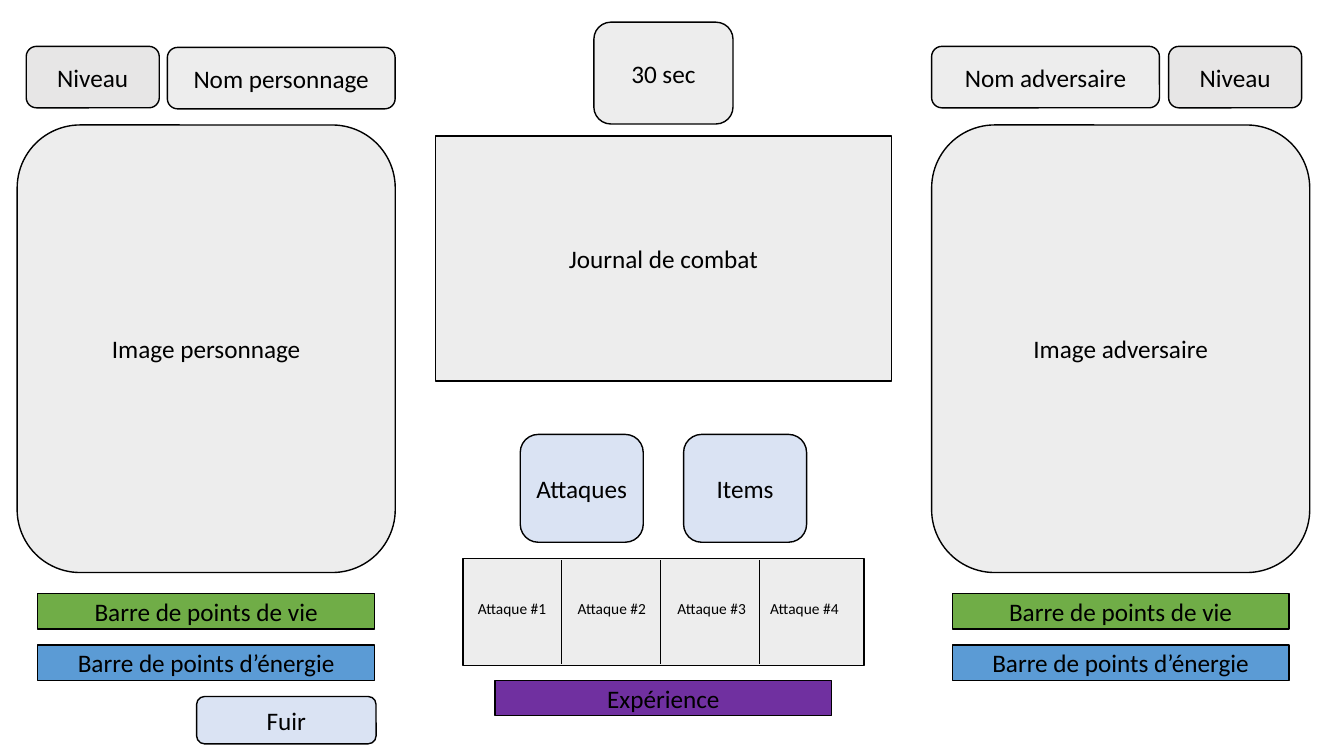
"""Build the combat screen wireframe slide."""
from dataclasses import dataclass

from lxml import etree
from pptx import Presentation
from pptx.dml.color import RGBColor
from pptx.enum.shapes import MSO_CONNECTOR, MSO_SHAPE
from pptx.enum.text import MSO_ANCHOR, PP_ALIGN
from pptx.oxml.ns import qn
from pptx.util import Inches, Pt

RECT, ROUND = MSO_SHAPE.RECTANGLE, MSO_SHAPE.ROUNDED_RECTANGLE
STRAIGHT = MSO_CONNECTOR.STRAIGHT
MIDDLE, TOP = MSO_ANCHOR.MIDDLE, MSO_ANCHOR.TOP
CENTER, LEFT = PP_ALIGN.CENTER, PP_ALIGN.LEFT


@dataclass(frozen=True)
class Theme:
    """Colours, font and sizes of the slide."""
    ink: str = "000000"
    panel: str = "EDEDED"
    level: str = "E7E6E6"
    button: str = "DAE3F3"
    life: str = "70AD47"
    energy: str = "5B9BD5"
    experience: str = "7030A0"
    font: str = "Calibri"
    body: float = 18
    small: float = 11
    outline: float = 1
    divider: float = 0.5


THEME = Theme()
BAR_W, BAR_H = 3.34, 0.35


def rgb(value):
    """Return the colour for a hex string."""
    return RGBColor.from_string(value)


def inches(*values):
    """Return the values as lengths."""
    return [Inches(v) for v in values]


def set_line(line, width):
    """Give a line the ink colour and a width."""
    line.color.rgb = rgb(THEME.ink)
    line.width = Pt(width)


def write(sp, text, size, align, anchor, wrap):
    """Put one styled paragraph into a shape."""
    tf = sp.text_frame
    for name, value in {"word_wrap": wrap, "vertical_anchor": anchor}.items():
        setattr(tf, name, value)
    p = tf.paragraphs[0]
    p.alignment = align
    r = p.add_run()
    r.text = text
    for name, value in {"name": THEME.font, "size": Pt(size)}.items():
        setattr(r.font, name, value)
    r.font.color.rgb = rgb(THEME.ink)


def add_box(s, kind, box, fill, text=""):
    """Add an outlined shape with a centred label."""
    sp = s.shapes.add_shape(kind, *inches(*box))
    sp.shadow.inherit = False
    sp.fill.solid()
    sp.fill.fore_color.rgb = rgb(fill)
    set_line(sp.line, THEME.outline)
    if text:
        write(sp, text, THEME.body, CENTER, MIDDLE, True)


def add_divider(s, x, top, bottom):
    """Add a thin vertical line."""
    line = s.shapes.add_connector(STRAIGHT, *inches(x, top, x, bottom))
    set_line(line.line, THEME.divider)
    etree.SubElement(line._element.spPr, qn("a:effectLst"))


def add_fighter(s, box, role, name_box, level_box):
    """Add a fighter's name, level, image and two bars."""
    x, y, w, h = box
    add_box(s, ROUND, name_box, THEME.panel, f"Nom {role}")
    add_box(s, ROUND, level_box, THEME.level, "Niveau")
    add_box(s, ROUND, box, THEME.panel, f"Image {role}")
    bars = [("vie", THEME.life), ("énergie", THEME.energy)]
    for i, (points, fill) in enumerate(bars):
        bar = (x + (w - BAR_W) / 2, y + h + 0.21 + i * 0.51, BAR_W, BAR_H)
        link = "d’" if points == "énergie" else "de "
        add_box(s, RECT, bar, fill, f"Barre de points {link}{points}")


def add_journal(s, box):
    """Add the combat journal with the timer above it."""
    x, y, w, h = box
    add_box(s, ROUND, (x + (w - 1.38) / 2, y - 1.13, 1.38, 1.01), THEME.panel, "30 sec")
    add_box(s, RECT, box, THEME.panel, "Journal de combat")


def add_actions(s, box):
    """Add the action buttons, the attack strip and the experience bar."""
    x, y, w, h = box
    for i, label in enumerate(["Attaques", "Items"]):
        add_box(s, ROUND, (x + 0.57 + i * 1.62, y - 1.23, 1.22, 1.07), THEME.button, label)
    add_box(s, RECT, box, THEME.panel)
    for i, left in enumerate([0.05, 1.04, 2.03, 2.95]):
        if i:
            add_divider(s, x + i * 0.98, y + 0.02, y + h - 0.01)
        sp = s.shapes.add_textbox(*inches(x + left, y + 0.35, 0.91, 0.29))
        write(sp, f"Attaque #{i + 1}", THEME.small, LEFT, TOP, False)
    bar = (x + (w - BAR_W) / 2, y + h + 0.15, BAR_W, BAR_H)
    add_box(s, RECT, bar, THEME.experience, "Expérience")


def main():
    """Assemble the slide and save it."""
    prs = Presentation()
    prs.slide_width, prs.slide_height = inches(13.33, 7.5)
    s = prs.slides.add_slide(prs.slide_layouts[6])
    add_fighter(s, (0.17, 1.24, 3.75, 4.44), "personnage",
                (1.66, 0.47, 2.26, 0.61), (0.26, 0.46, 1.32, 0.61))
    add_fighter(s, (9.24, 1.24, 3.75, 4.44), "adversaire",
                (9.24, 0.46, 2.26, 0.61), (11.59, 0.46, 1.32, 0.61))
    add_journal(s, (4.32, 1.35, 4.52, 2.43))
    add_actions(s, (4.59, 5.54, 3.98, 1.06))
    add_box(s, ROUND, (1.95, 6.91, 1.78, 0.47), THEME.button, "Fuir")
    prs.save("out.pptx")


main()
